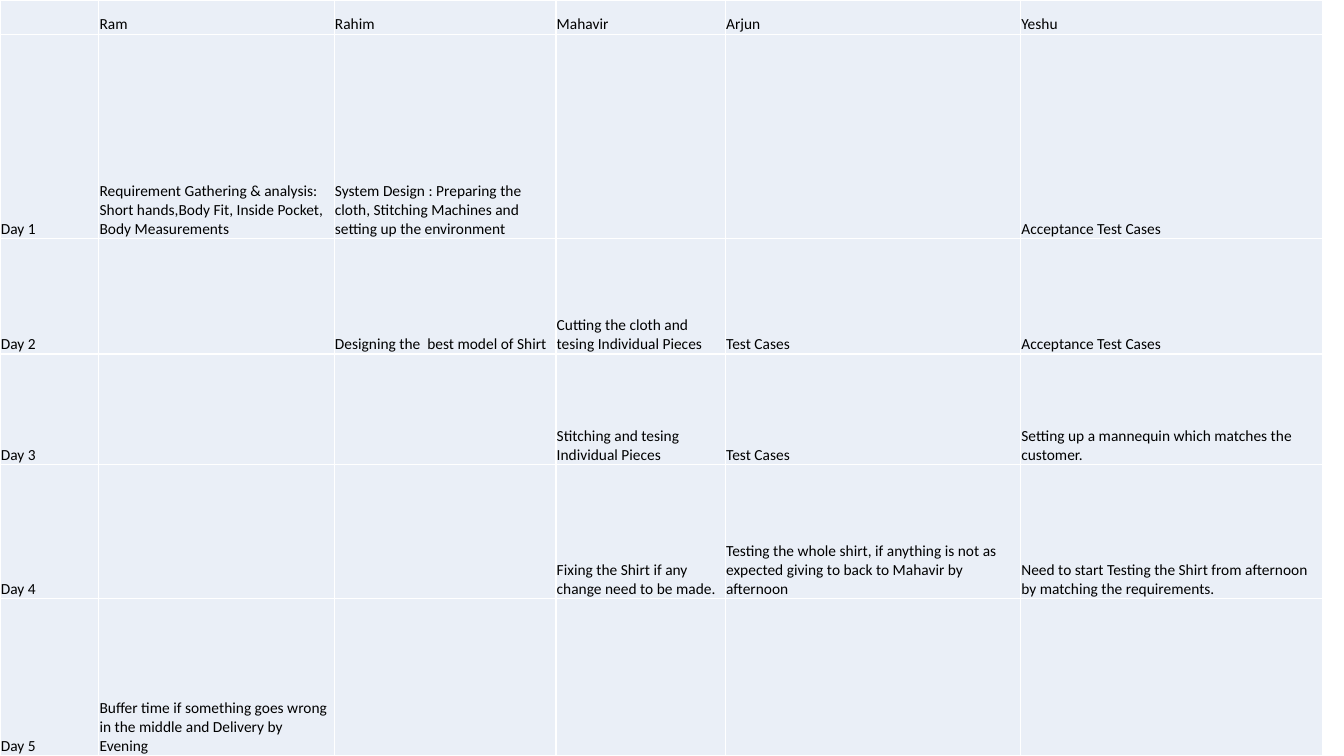
from pptx import Presentation
from pptx.dml.color import RGBColor
from pptx.enum.text import MSO_ANCHOR
from pptx.oxml import parse_xml
from pptx.oxml.ns import nsdecls
from pptx.util import Cm, Pt

BOTTOM = MSO_ANCHOR.BOTTOM
FONT = "Calibri"
TEXT, CELL_FILL, BORDER = "000000", "EAEFF7", "FFFFFF"
COL_WIDTHS = [2.49, 5.93, 5.59, 4.27, 7.44, 7.6]
ROW_HEIGHTS = [0.86, 5.16, 2.9, 2.79, 3.38, 3.96]
SCHEDULE = [
    ["", "Ram", "Rahim", "Mahavir", "Arjun", "Yeshu"],
    ["Day 1",
     "Requirement Gathering & analysis: Short hands,Body Fit, Inside Pocket, Body Measurements",
     "System Design : Preparing the cloth, Stitching Machines and setting up the environment",
     "", "", "Acceptance Test Cases"],
    ["Day 2", "", "Designing the  best model of Shirt",
     "Cutting the cloth and tesing Individual Pieces",
     "Test Cases", "Acceptance Test Cases"],
    ["Day 3", "", "", "Stitching and tesing Individual Pieces",
     "Test Cases", "Setting up a mannequin which matches the customer."],
    ["Day 4", "", "", "Fixing the Shirt if any change need to be made.",
     "Testing the whole shirt, if anything is not as expected giving to back to Mahavir by afternoon",
     "Need to start Testing the Shirt from afternoon by matching the requirements."],
    ["Day 5",
     "Buffer time if something goes wrong in the middle and Delivery by Evening",
     "", "", "", ""],
]


def color(value):
    return RGBColor.from_string(value)


def set_borders(cell, value, width):
    tcPr = cell._tc.get_or_add_tcPr()
    for i, side in enumerate(("lnL", "lnR", "lnT", "lnB")):
        tcPr.insert(i, parse_xml(
            f'<a:{side} {nsdecls("a")} w="{Pt(width)}"><a:solidFill>'
            f'<a:srgbClr val="{value}"/></a:solidFill></a:{side}>'))


def fill_cell(cell, text):
    cell.fill.solid()
    cell.fill.fore_color.rgb = color(CELL_FILL)
    set_borders(cell, BORDER, 1)
    cell.margin_left = cell.margin_right = cell.margin_top = Cm(0.02)
    cell.margin_bottom = 0
    cell.vertical_anchor = BOTTOM
    cell.text = text
    p = cell.text_frame.paragraphs[0]
    p.font.name = FONT
    p.font.size = Pt(11)
    p.font.color.rgb = color(TEXT)


def add_schedule(s):
    table = s.shapes.add_table(
        len(ROW_HEIGHTS), len(COL_WIDTHS), 0, 0,
        Cm(sum(COL_WIDTHS)), Cm(sum(ROW_HEIGHTS))).table
    table.first_row = table.horz_banding = False
    for column, width in zip(table.columns, COL_WIDTHS):
        column.width = Cm(width)
    for row, height, texts in zip(table.rows, ROW_HEIGHTS, SCHEDULE):
        row.height = Cm(height)
        for cell, text in zip(row.cells, texts):
            fill_cell(cell, text)


def main():
    prs = Presentation()
    prs.slide_width, prs.slide_height = Cm(33.87), Cm(19.05)
    s = prs.slides.add_slide(prs.slide_layouts[6])
    add_schedule(s)
    prs.save("out.pptx")


main()
